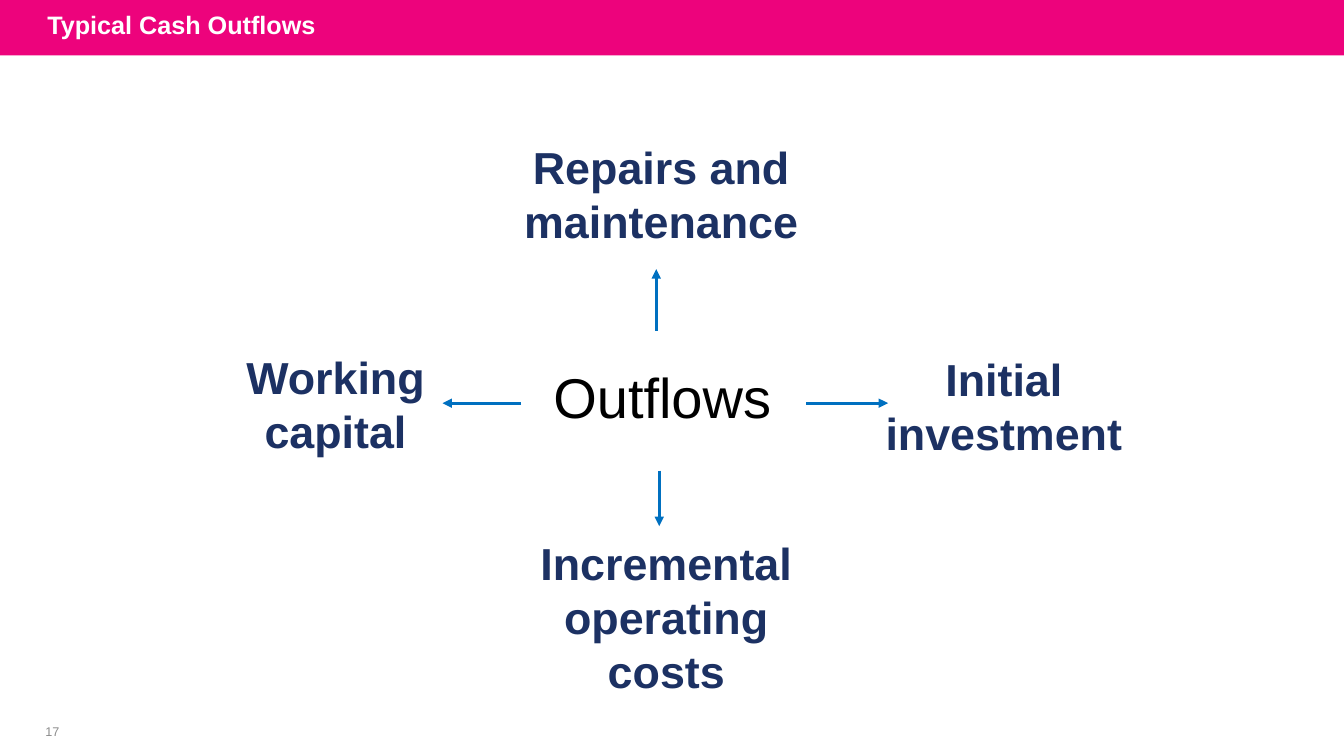
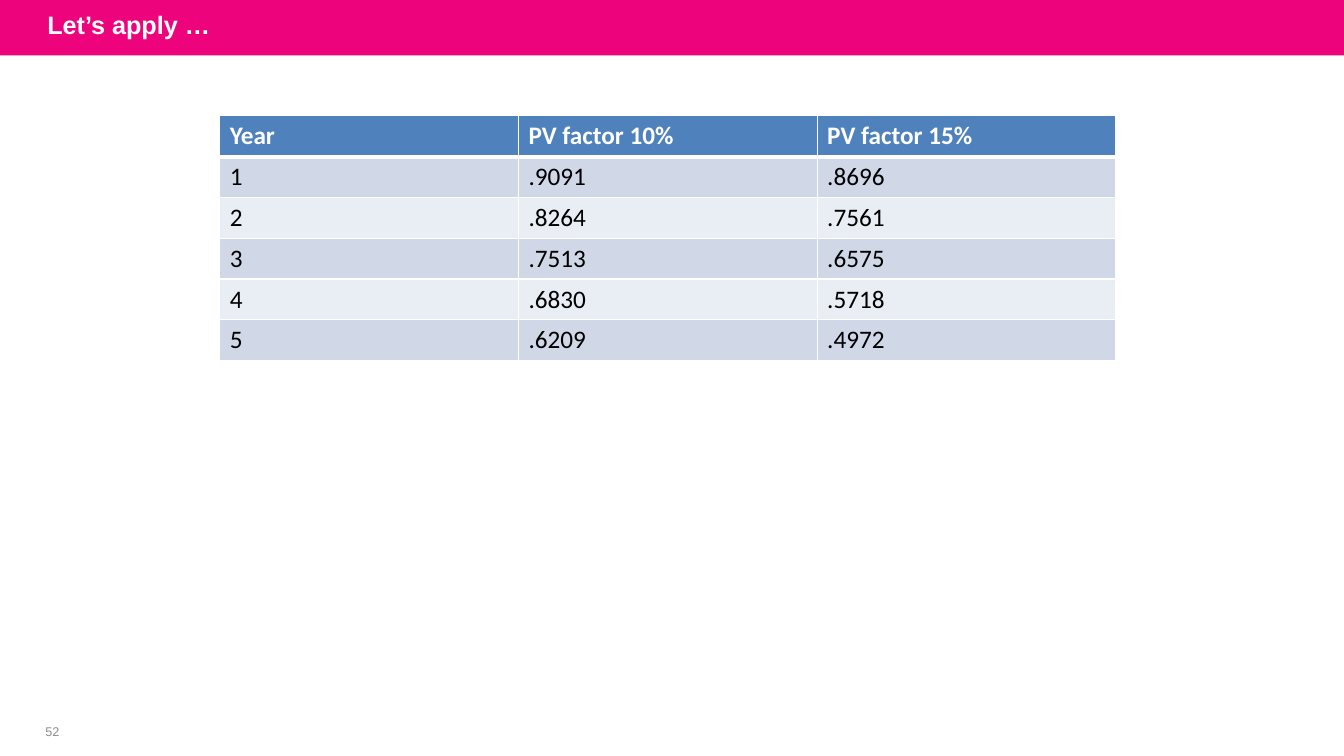
"""Build two slides on cash outflows and present value factors."""
import dataclasses

import lxml.etree
import pptx
import pptx.dml.color
import pptx.enum.shapes
import pptx.enum.text
import pptx.oxml.ns
import pptx.util

ANCHOR = pptx.enum.text.MSO_ANCHOR
ALIGN = pptx.enum.text.PP_ALIGN
WIDTH = pptx.util.Inches(13.33)
HEIGHT = pptx.util.Inches(7.5)


@dataclasses.dataclass(frozen=True)
class TextStyle:
    font: str
    size: int
    color: str
    bold: bool = False


@dataclasses.dataclass(frozen=True)
class Theme:
    band: str = "ED037C"
    arrow: str = "0070C0"
    arrow_width: float = 2.25
    header_fill: str = "4F81BD"
    row_fills: tuple = ("D0D8E8", "E9EDF4")
    border: str = "FFFFFF"
    thin: int = 1
    thick: int = 3
    title: TextStyle = TextStyle("Arial", 18, "FFFFFF", True)
    label: TextStyle = TextStyle("Arial", 32, "1C3163", True)
    center: TextStyle = TextStyle("Arial", 40, "000000")
    number: TextStyle = TextStyle("Arial", 9, "8C8C8C")
    header: TextStyle = TextStyle("Calibri", 18, "FFFFFF", True)
    body: TextStyle = TextStyle("Calibri", 18, "000000")


THEME = Theme()

OUTFLOWS = [
    ("Repairs and\nmaintenance", (38.18, 17.87, 22.05, 15.73), (48.83, 43.73, 48.83, 35.6)),
    ("Incremental\noperating\ncosts", (39.38, 70.27, 20.4, 22.8), (49.05, 62.27, 49.05, 69.6)),
    ("Initial\ninvestment", (65.1, 45.87, 19.2, 15.73), (60, 53.33, 66.08, 53.33)),
    ("Working\ncapital", (17.55, 45.6, 14.85, 15.73), (38.78, 53.33, 32.93, 53.33)),
]

FACTORS = [
    ("Year", "PV factor 10%", "PV factor 15%"),
    ("1", ".9091", ".8696"),
    ("2", ".8264", ".7561"),
    ("3", ".7513", ".6575"),
    ("4", ".6830", ".5718"),
    ("5", ".6209", ".4972"),
]


def grid(left, top, right, bottom):
    """Turn percentages of the slide into lengths, in x, y, x, y order."""
    return [int(size * share / 100) for size, share in
            zip((WIDTH, HEIGHT) * 2, (left, top, right, bottom))]


def rgb(color):
    """Return a colour object for a hex string."""
    return pptx.dml.color.RGBColor.from_string(color)


def write(text_frame, text, style, align=ALIGN.LEFT):
    """Fill a text frame with lines in one style."""
    text_frame.text = text
    for paragraph in text_frame.paragraphs:
        paragraph.alignment = align
        font = paragraph.font
        font.name, font.bold = style.font, style.bold
        font.size = pptx.util.Pt(style.size)
        font.color.rgb = rgb(style.color)


def add_text(slide, area, text, style, align=ALIGN.CENTER, anchor=ANCHOR.TOP, wrap=True):
    """Add a text box on the grid."""
    text_frame = slide.shapes.add_textbox(*grid(*area)).text_frame
    text_frame.word_wrap = wrap
    text_frame.vertical_anchor = anchor
    write(text_frame, text, style, align)


def add_arrow(slide, ends):
    """Add a straight arrow between two grid points."""
    connector = slide.shapes.add_connector(
        pptx.enum.shapes.MSO_CONNECTOR.STRAIGHT, *grid(*ends))
    connector.line.color.rgb = rgb(THEME.arrow)
    connector.line.width = pptx.util.Pt(THEME.arrow_width)
    properties = connector._element.spPr
    line = properties.find(pptx.oxml.ns.qn("a:ln"))
    lxml.etree.SubElement(line, pptx.oxml.ns.qn("a:tailEnd"), type="triangle")
    lxml.etree.SubElement(properties, pptx.oxml.ns.qn("a:effectLst"))


def set_borders(cell, widths):
    """Draw the left, right, top and bottom borders of a cell."""
    properties = cell._tc.get_or_add_tcPr()
    for index, (side, width) in enumerate(zip("LRTB", widths)):
        line = lxml.etree.Element(
            pptx.oxml.ns.qn(f"a:ln{side}"), w=str(pptx.util.Pt(width)))
        fill = lxml.etree.SubElement(line, pptx.oxml.ns.qn("a:solidFill"))
        lxml.etree.SubElement(fill, pptx.oxml.ns.qn("a:srgbClr"), val=THEME.border)
        properties.insert(index, line)


def add_table(slide, area, rows):
    """Add a table with a header row and alternating body rows."""
    table = slide.shapes.add_table(len(rows), len(rows[0]), *grid(*area)).table
    for row_index, row in enumerate(rows):
        is_header = row_index == 0
        row_fill = THEME.header_fill if is_header else THEME.row_fills[(row_index - 1) % 2]
        top = THEME.thick if row_index == 1 else THEME.thin
        bottom = THEME.thick if is_header else THEME.thin
        for column_index, text in enumerate(row):
            cell = table.cell(row_index, column_index)
            cell.fill.solid()
            cell.fill.fore_color.rgb = rgb(row_fill)
            set_borders(cell, (THEME.thin, THEME.thin, top, bottom))
            write(cell.text_frame, text, THEME.header if is_header else THEME.body)


def add_slide(presentation, title, number):
    """Add a blank slide with the title band and page number."""
    slide = presentation.slides.add_slide(presentation.slide_layouts[6])
    band = slide.shapes.add_shape(
        pptx.enum.shapes.MSO_SHAPE.RECTANGLE, *grid(0, 0, 100, 7.33))
    band.shadow.inherit = False
    band.fill.solid()
    band.fill.fore_color.rgb = rgb(THEME.band)
    band.line.fill.background()
    add_text(slide, (2.78, -0.4, 78.75, 7.33), title, THEME.title,
             align=ALIGN.LEFT, anchor=ANCHOR.MIDDLE)
    add_text(slide, (1.95, 95.2, 3.9, 3.2), number, THEME.number, anchor=ANCHOR.MIDDLE)
    return slide


def main():
    """Build and save the presentation."""
    presentation = pptx.Presentation()
    presentation.slide_width, presentation.slide_height = WIDTH, HEIGHT

    outflows_slide = add_slide(presentation, "Typical Cash Outflows", "17")
    for label, area, arrow in OUTFLOWS:
        add_text(outflows_slide, area, label, THEME.label, wrap=False)
        add_arrow(outflows_slide, arrow)
    add_text(outflows_slide, (39.9, 47.33, 18.75, 10.27), "Outflows", THEME.center)

    factors_slide = add_slide(presentation, "Let’s apply …", "52")
    add_table(factors_slide, (16.35, 15.33, 66.68, 32.4), FACTORS)

    presentation.save("out.pptx")


if __name__ == "__main__":
    main()
